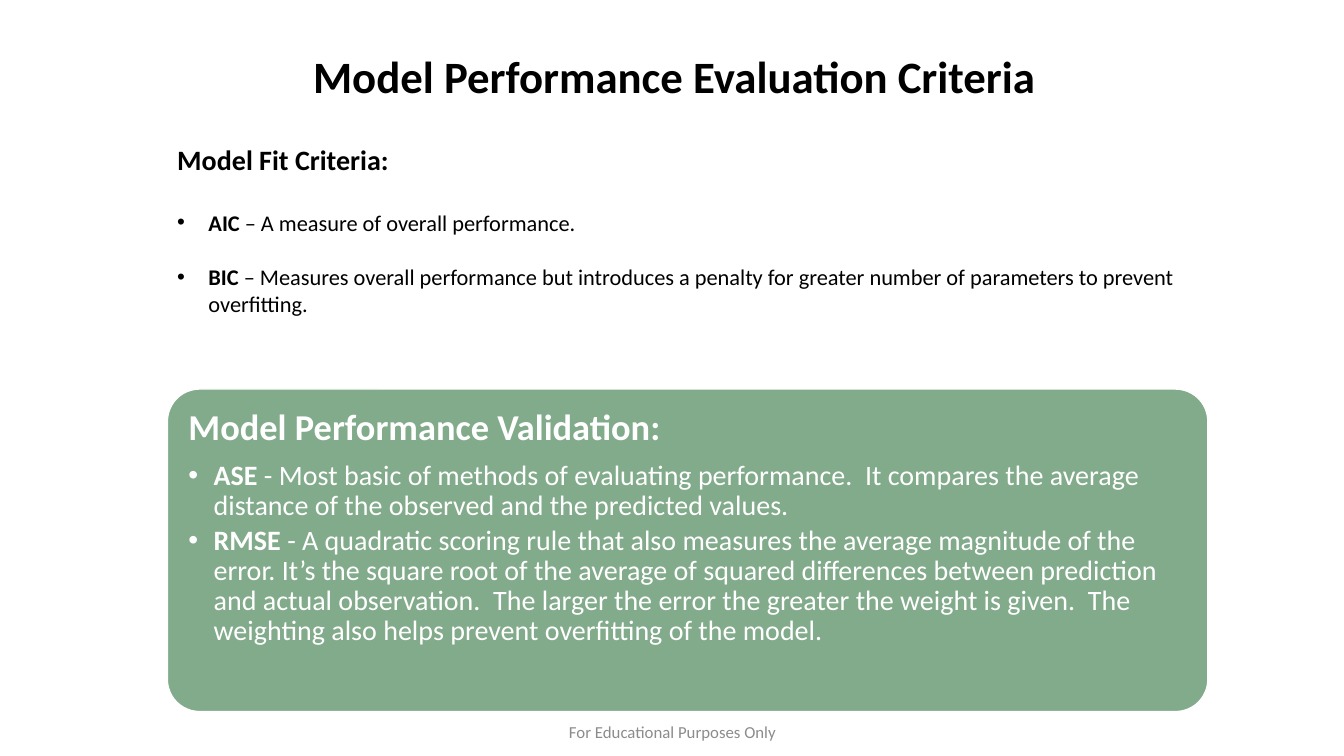
from dataclasses import dataclass

from lxml.etree import SubElement
from pptx import Presentation
from pptx.dml.color import RGBColor
from pptx.enum.shapes import MSO_SHAPE as Shape
from pptx.enum.text import MSO_ANCHOR as Anchor, PP_ALIGN as Align
from pptx.oxml.ns import qn
from pptx.util import Pt

PX = 9144  # EMU per px, 100 px to the inch
FONT = "Calibri"
BLACK = RGBColor(0x00, 0x00, 0x00)
WHITE = RGBColor(0xFF, 0xFF, 0xFF)
GREEN = RGBColor(0x82, 0xAB, 0x8B)
GRAY = RGBColor(0x8C, 0x8C, 0x8C)


@dataclass(frozen=True)
class Box:
    left: int
    top: int
    width: int
    height: int

    def emu(self) -> tuple[int, ...]:
        return tuple(n * PX for n in (self.left, self.top, self.width, self.height))


@dataclass(frozen=True)
class Line:
    """A paragraph: a bold lead, then plain text."""
    lead: str
    text: str = ""
    size: int = 16
    after: float = 0
    indent: int = 0  # px; bulleted when above zero


@dataclass(frozen=True)
class Section:
    box: Box
    color: RGBColor
    spacing: float
    inset: tuple[int, int]  # px: sides, top and bottom
    lines: tuple[Line, ...]


FIT = Section(Box(166, 136, 1023, 185), BLACK, 1.0, (10, 5), (
    Line("Model Fit Criteria:", size=20, after=23.7),
    Line("AIC", " – A measure of overall performance.", after=19.5, indent=31),
    Line("BIC", " – Measures overall performance but introduces a penalty for greater "
         "number of parameters to prevent overfitting.", indent=31),
))
VALIDATION = Section(Box(176, 395, 1013, 301), WHITE, 0.9, (11, 11), (
    Line("Model Performance Validation:", size=26, after=9.1),
    Line("ASE ", "- Most basic of methods of evaluating performance.  It compares the "
         "average distance of the observed and the predicted values.",
         size=20, after=3, indent=25),
    Line("RMSE", " - A quadratic scoring rule that also measures the average magnitude of "
         "the error. It’s the square root of the average of squared differences between "
         "prediction and actual observation.  The larger the error the greater the weight "
         "is given.  The weighting also helps prevent overfitting of the model.",
         size=20, after=3, indent=25),
))


def place(shape, box: Box) -> None:
    shape.left, shape.top, shape.width, shape.height = box.emu()


def paint(shape, color: RGBColor) -> None:
    shape.fill.solid()
    shape.fill.fore_color.rgb = color


def style(span, size: int, color: RGBColor, bold: bool = False) -> None:
    span.font.name, span.font.size, span.font.bold = FONT, Pt(size), bold
    span.font.color.rgb = color


def set_bullet(para, indent: int) -> None:
    props = para._p.get_or_add_pPr()
    props.set("marL", str(indent * PX))
    props.set("indent", str(-indent * PX))
    SubElement(props, qn("a:buFont")).set("typeface", "Arial")
    SubElement(props, qn("a:buChar")).set("char", "•")


def add_section(page, section: Section):
    text_box = page.shapes.add_textbox(*section.box.emu())
    frame = text_box.text_frame
    frame.word_wrap = True
    side, edge = section.inset
    frame.margin_left = frame.margin_right = side * PX
    frame.margin_top = frame.margin_bottom = edge * PX
    for index, line in enumerate(section.lines):
        para = frame.add_paragraph() if index else frame.paragraphs[0]
        para.line_spacing = section.spacing
        para.space_after = Pt(line.after)
        if line.indent:
            set_bullet(para, line.indent)
        for words, bold in ((line.lead, True), (line.text, False)):
            if words:
                span = para.add_run()
                span.text = words
                style(span, line.size, section.color, bold)
    return text_box


def set_centered(shape, text: str, size: int, color: RGBColor,
                 anchor: Anchor, bold: bool = False) -> None:
    frame = shape.text_frame
    frame.text = text
    frame.word_wrap = True
    frame.vertical_anchor = anchor
    para = frame.paragraphs[0]
    para.alignment = Align.CENTER
    style(para.runs[0], size, color, bold)


def main() -> None:
    deck = Presentation()
    deck.slide_width, deck.slide_height = 1333 * PX, 750 * PX
    page = deck.slides.add_slide(deck.slide_layouts[5])

    # Title
    title = page.shapes.title
    place(title, Box(150, 43, 1038, 64))
    paint(title, WHITE)
    set_centered(title, "Model Performance Evaluation Criteria", 32, BLACK, Anchor.TOP, True)

    # Fit criteria
    paint(add_section(page, FIT), WHITE)

    # Validation panel
    panel = page.shapes.add_shape(Shape.ROUNDED_RECTANGLE, *Box(166, 386, 1032, 320).emu())
    panel.adjustments[0] = 0.1
    panel.shadow.inherit = False
    paint(panel, GREEN)
    panel.line.color.rgb = WHITE
    panel.line.width = Pt(1)
    add_section(page, VALIDATION)

    # Footer
    footer = page.shapes.add_textbox(*Box(442, 706, 450, 40).emu())
    set_centered(footer, "For Educational Purposes Only", 12, GRAY, Anchor.MIDDLE)

    deck.save("out.pptx")


if __name__ == "__main__":
    main()
